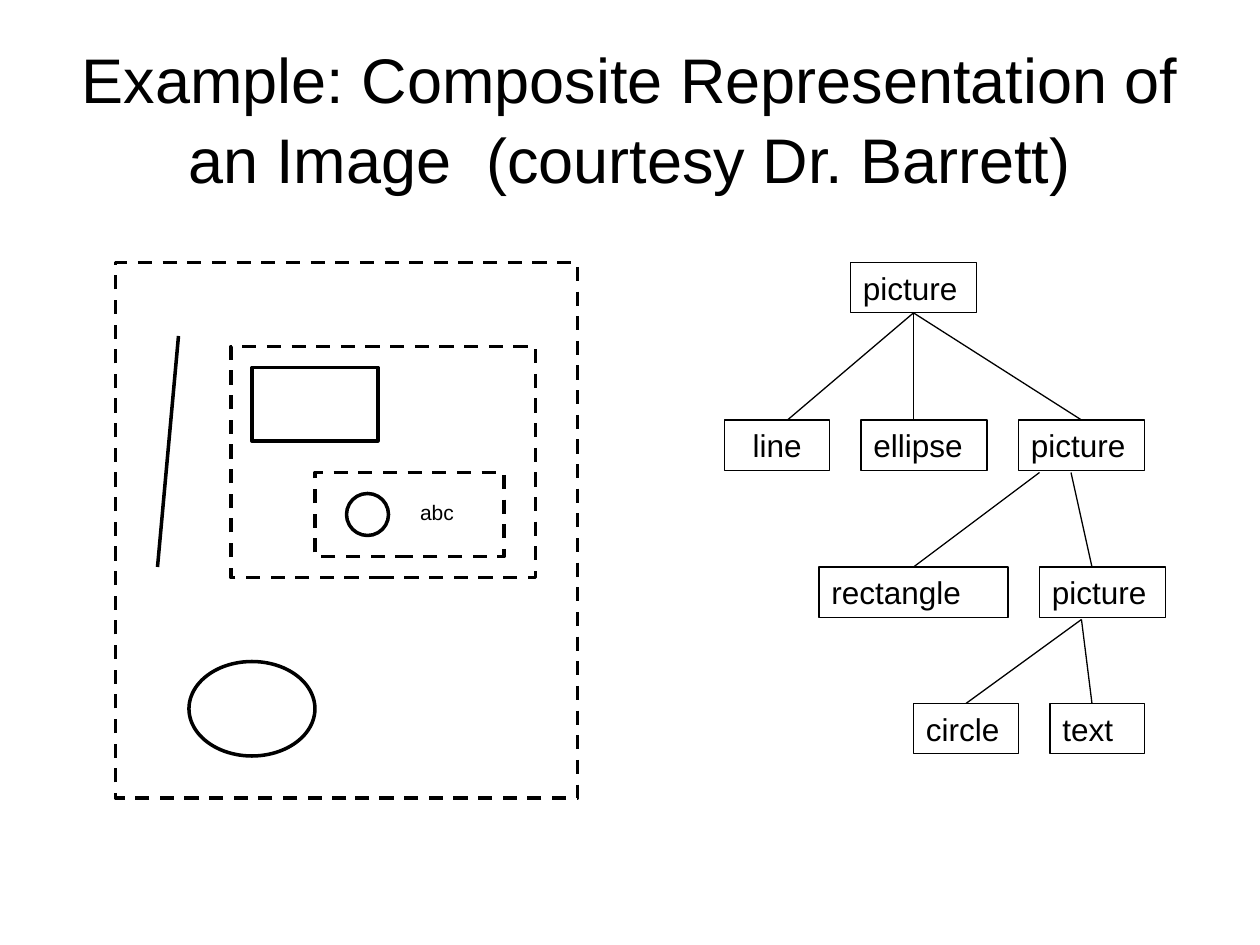
from dataclasses import dataclass

from lxml import etree
from pptx import Presentation
from pptx.dml.color import RGBColor
from pptx.enum.dml import MSO_LINE
from pptx.enum.shapes import MSO_CONNECTOR, MSO_SHAPE
from pptx.enum.text import MSO_ANCHOR, PP_ALIGN
from pptx.oxml.ns import qn
from pptx.util import Inches, Pt

RECT, OVAL = MSO_SHAPE.RECTANGLE, MSO_SHAPE.OVAL
STRAIGHT = MSO_CONNECTOR.STRAIGHT
DASH = MSO_LINE.DASH
MIDDLE, TOP_ANCHOR = MSO_ANCHOR.MIDDLE, MSO_ANCHOR.TOP
LEFT, CENTER = PP_ALIGN.LEFT, PP_ALIGN.CENTER
TOP, BOTTOM = 0, 2
NODE_HEIGHT = 4.8


@dataclass(frozen=True)
class Theme:
    ink: RGBColor = RGBColor(0, 0, 0)
    font: str = "Arial"
    title: int = 36
    node: int = 18
    small: int = 12
    thin: float = 0.75
    thick: float = 2


THEME = Theme()


def grid(*cells):
    """Lengths on a grid of 120 columns by 90 rows, twelve to the inch."""
    return [Inches(c / 12) for c in cells]


def write(sp, text, size=THEME.node, align=LEFT, anchor=TOP_ANCHOR,
          insets=(0.1, 0.05), spacing=None, wrap=True):
    tf = sp.text_frame
    tf.word_wrap = wrap
    tf.vertical_anchor = anchor
    tf.margin_left = tf.margin_right = Inches(insets[0])
    tf.margin_top = tf.margin_bottom = Inches(insets[1])
    p = tf.paragraphs[0]
    p.alignment = align
    p.line_spacing = spacing
    r = p.add_run()
    r.text = text
    r.font.name = THEME.font
    r.font.size = Pt(size)
    r.font.color.rgb = THEME.ink


def add_text(slide, text, box, **fmt):
    write(slide.shapes.add_textbox(*grid(*box)), text, **fmt)


def add_outline(slide, kind, box, width=THEME.thick, dash=None):
    sp = slide.shapes.add_shape(kind, *grid(*box))
    sp.shadow.inherit = False
    sp.fill.background()
    sp.line.color.rgb = THEME.ink
    sp.line.width = Pt(width)
    if dash:
        sp.line.dash_style = dash
    return sp


def add_line(slide, start, end, width=THEME.thin):
    cx = slide.shapes.add_connector(STRAIGHT, *grid(*start, *end))
    cx.line.color.rgb = THEME.ink
    cx.line.width = Pt(width)
    etree.SubElement(cx._element.spPr, qn("a:effectLst"))
    return cx


def add_node(slide, text, col, row, width, align=LEFT):
    sp = add_outline(slide, RECT, (col, row, width, NODE_HEIGHT), THEME.thin)
    write(sp, text, align=align)
    return sp


def add_drawing(slide):
    """The nested groups, each in a dashed frame."""
    for frame in [(11, 25, 44, 51), (18, 33, 29, 22), (30, 45, 18, 8)]:
        add_outline(slide, RECT, frame if frame[0] != 18 else (22, 33, 29, 22),
                    dash=DASH)
    add_line(slide, (15, 54), (17, 32), THEME.thick)
    add_outline(slide, OVAL, (18, 63, 12, 9))
    add_outline(slide, RECT, (24, 35, 12, 7))
    add_outline(slide, OVAL, (33, 47, 4, 4))
    add_text(slide, "abc", (40, 47.6, 4, 2.4), size=THEME.small, insets=(0, 0))


def add_tree(slide):
    root = add_node(slide, "picture", 81, 25, 12)
    add_node(slide, "line", 69, 40, 10, CENTER)
    add_node(slide, "ellipse", 82, 40, 12)
    outer = add_node(slide, "picture", 97, 40, 12)
    rectangle = add_node(slide, "rectangle", 78, 54, 18)
    add_node(slide, "picture", 99, 54, 12)
    circle = add_node(slide, "circle", 87, 67, 10)
    add_node(slide, "text", 100, 67, 9)

    # Each branch: start, end, and the nodes whose side it meets in the middle
    branches = [
        ((87, 30), (75, 40), root, None),
        ((87, 30), (87, 40), root, None),
        ((87, 30), (103, 40), root, outer),
        ((99, 45), (87, 54), None, rectangle),
        ((102, 45), (104, 54), None, None),
        ((103, 59), (92, 67), None, circle),
        ((103, 59), (104, 67), None, None),
    ]
    for start, end, parent, child in branches:
        cx = add_line(slide, start, end)
        if parent:
            cx.begin_connect(parent, BOTTOM)
        if child:
            cx.end_connect(child, TOP)


def main():
    prs = Presentation()
    prs.slide_width, prs.slide_height = grid(120, 90)
    slide = prs.slides.add_slide(prs.slide_layouts[6])
    add_text(slide, "Example: Composite Representation of an Image  (courtesy Dr. Barrett)",
             (6, 3.6, 108, 15), size=THEME.title, align=CENTER, anchor=MIDDLE,
             spacing=1.05)
    add_tree(slide)
    add_drawing(slide)
    prs.save("out.pptx")


if __name__ == "__main__":
    main()
